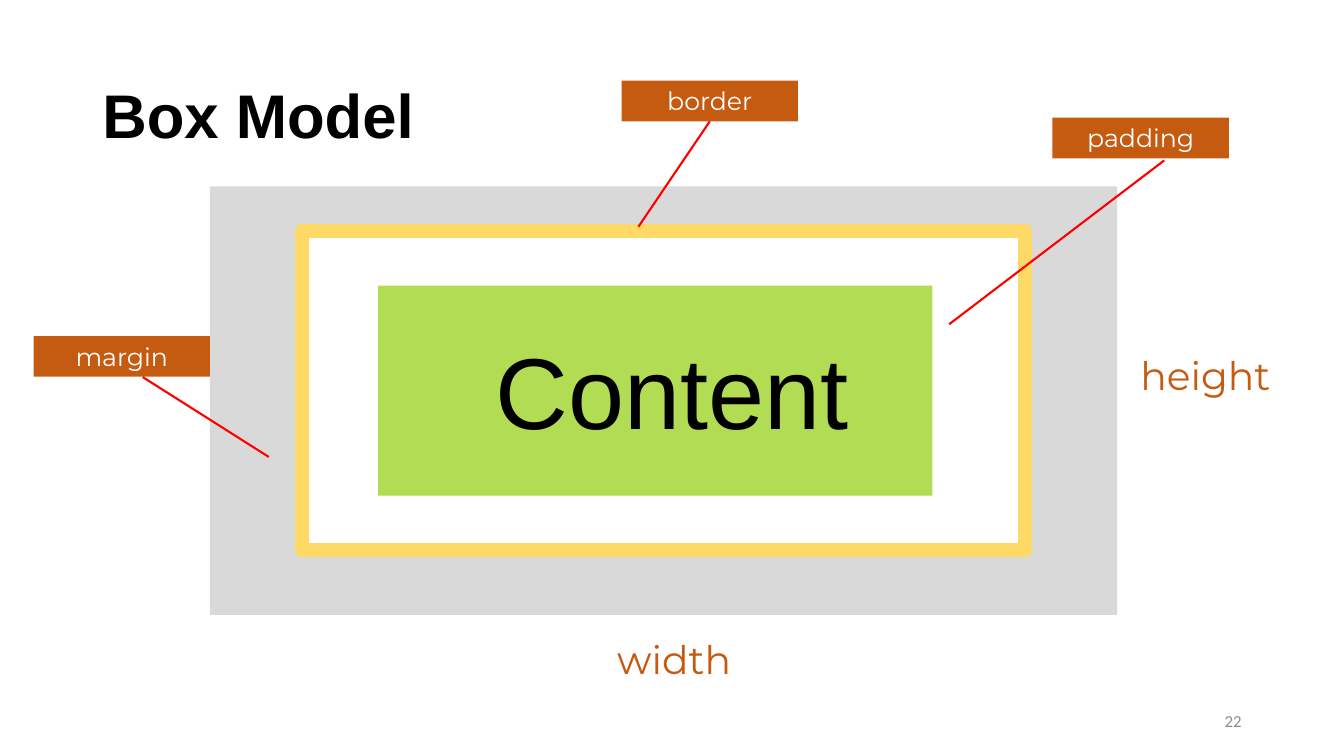
from pptx import Presentation
from pptx.dml.color import RGBColor
from pptx.enum.shapes import MSO_CONNECTOR, MSO_SHAPE
from pptx.enum.text import MSO_ANCHOR, PP_ALIGN
from pptx.oxml.ns import qn
from pptx.util import Inches, Pt
from lxml import etree

RECT, LINE = MSO_SHAPE.RECTANGLE, MSO_CONNECTOR.STRAIGHT
TOP, MID = MSO_ANCHOR.TOP, MSO_ANCHOR.MIDDLE
LEFT, MIDDLE, RIGHT = PP_ALIGN.LEFT, PP_ALIGN.CENTER, PP_ALIGN.RIGHT


class Theme:
    gray, gold, lime = "D9D9D9", "FFD966", "B2DC54"
    rust, red = "C55A11", "FF0000"
    white, black, dim = "FFFFFF", "000000", "8C8C8C"
    sans, mont, foot = "Arial", "Montserrat", "Calibri"
    head, body, size, tag, page = 44, 72, 28, 18, 12
    rim, lead = 10, 1.5


# Content: lengths in grid cells, 160 columns by 90 rows
COLS, ROWS = 160, 90
TAG_W, TAG_H = 21, 4.85

# left, top, width, height, fill, rim colour
BOXES = [
    (25, 22.2, 108, 51, Theme.gray, None),
    (36, 27.5, 86, 38, Theme.white, Theme.gold),
    (45, 34, 66, 25, Theme.lime, None),
]
# text, place, font, size, colour, bold, align, anchor
TEXTS = [
    ("Box Model", (11, 4.8, 138, 17.4), Theme.sans, Theme.head,
     Theme.black, True, LEFT, MID),
    ("Content", (52.5, 38.6, 55, 15.75), Theme.sans, Theme.body,
     Theme.black, False, MIDDLE, TOP),
    ("width", (69.75, 75.1, 21, 6.85), Theme.mont, Theme.size,
     Theme.rust, False, MIDDLE, TOP),
    ("height", (133, 41.2, 21, 6.85), Theme.mont, Theme.size,
     Theme.rust, False, MIDDLE, TOP),
    ("22", (113, 83.4, 36, 4.8), Theme.foot, Theme.page,
     Theme.dim, False, RIGHT, MID),
]
# text, left, top, line start (None: middle of the bottom side), line end
TAGS = [
    ("margin", 4, 40, (17, 44.9), (32, 54.4)),
    ("border", 74, 9.6, None, (76, 27)),
    ("padding", 125.3, 14, (138.6, 19.1), (113, 38.6)),
]

deck = Presentation()
deck.slide_width, deck.slide_height = Inches(13.33), Inches(7.5)
slide = deck.slides.add_slide(deck.slide_layouts[6])
cell_w, cell_h = deck.slide_width / COLS, deck.slide_height / ROWS


def scale(*cells):
    """Turn x, y, ... cells into slide lengths."""
    return [round(n * (cell_h if i % 2 else cell_w))
            for i, n in enumerate(cells)]


def color(code):
    return RGBColor.from_string(code)


def write(shape, text, font, size, tone, bold=False, align=MIDDLE, anchor=TOP):
    frame = shape.text_frame
    frame.text = text
    frame.word_wrap = True
    frame.vertical_anchor = anchor
    para = frame.paragraphs[0]
    para.alignment = align
    face = para.runs[0].font
    face.name, face.size, face.bold = font, Pt(size), bold
    face.color.rgb = color(tone)


def add_box(place, fill, rim=None):
    box = slide.shapes.add_shape(RECT, *scale(*place))
    box.shadow.inherit = False
    box.fill.solid()
    box.fill.fore_color.rgb = color(fill)
    if rim:
        box.line.color.rgb = color(rim)
        box.line.width = Pt(Theme.rim)
    else:
        box.line.fill.background()
    return box


# Nested boxes
for *place, fill, rim in BOXES:
    add_box(place, fill, rim)

# Free text
for text, place, *style in TEXTS:
    write(slide.shapes.add_textbox(*scale(*place)), text, *style)

# Tags with their lead lines
for text, left, top, start, end in TAGS:
    tag = add_box((left, top, TAG_W, TAG_H), Theme.rust)
    write(tag, text, Theme.mont, Theme.tag, Theme.white)
    base = start or (left + TAG_W / 2, top + TAG_H)
    lead = slide.shapes.add_connector(LINE, *scale(*base, *end))
    if start is None:
        lead.begin_connect(tag, 2)
    lead.line.color.rgb = color(Theme.red)
    lead.line.width = Pt(Theme.lead)
    etree.SubElement(lead._element.spPr, qn("a:effectLst"))

deck.save("out.pptx")
